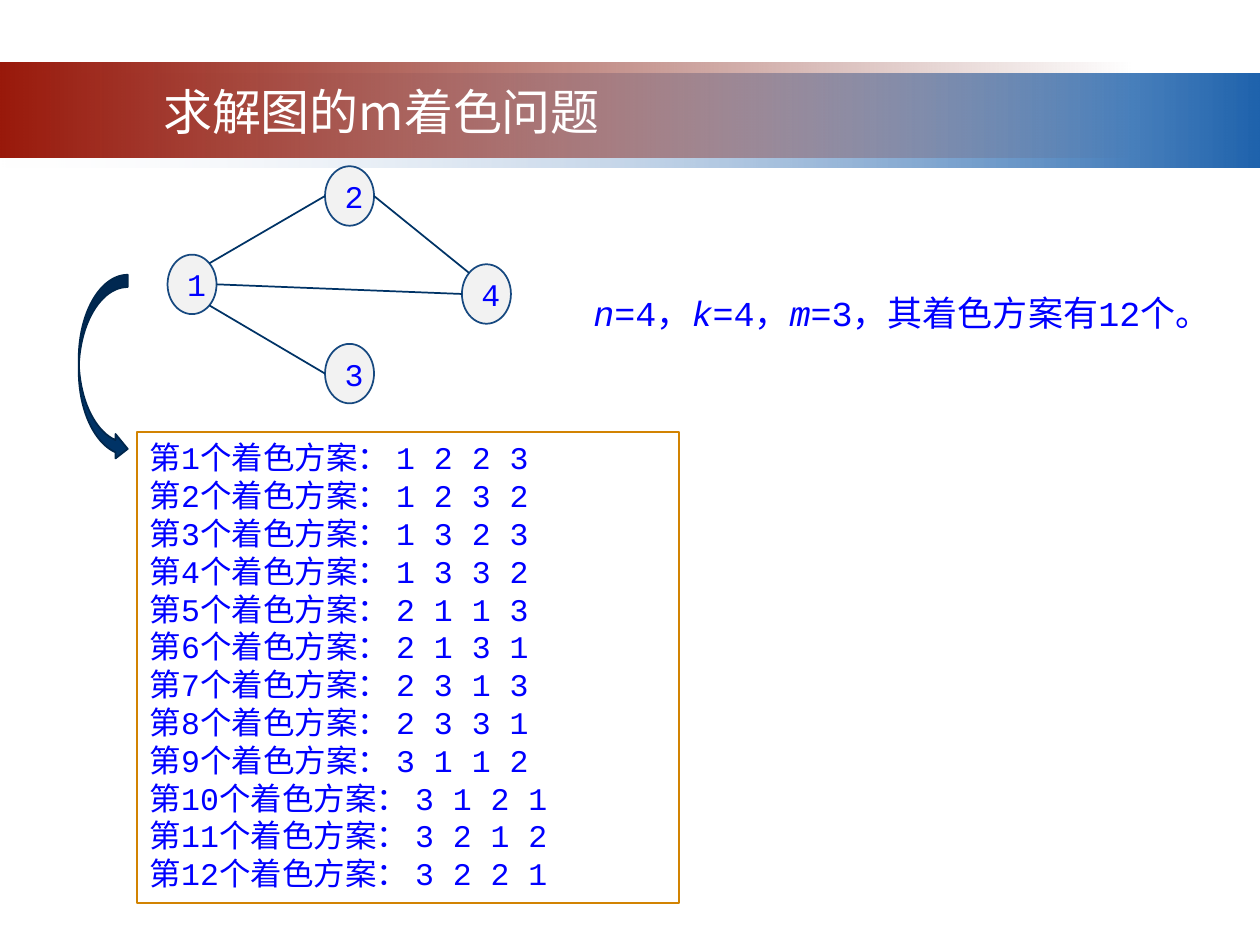
import math
import pptx
import pptx.util
import pptx.dml.color
import pptx.enum.shapes
import pptx.enum.text
import pptx.oxml.ns
import lxml.etree

Pt = pptx.util.Pt
Kind = pptx.enum.shapes.MSO_SHAPE
Align = pptx.enum.text.PP_ALIGN
Anchor = pptx.enum.text.MSO_ANCHOR
Fit = pptx.enum.text.MSO_AUTO_SIZE
qn = pptx.oxml.ns.qn

# Content
TITLE = "求解图的m着色问题"
NOTE = [("n", True), ("=4，", False), ("k", True), ("=4，", False),
        ("m", True), ("=3，其着色方案有12个。", False)]
PLANS = ["1 2 2 3", "1 2 3 2", "1 3 2 3", "1 3 3 2", "2 1 1 3", "2 1 3 1",
         "2 3 1 3", "2 3 3 1", "3 1 1 2", "3 1 2 1", "3 2 1 2", "3 2 2 1"]
NODES = {"1": (95.75, 145.5), "2": (185.75, 95), "3": (185.75, 196.5),
         "4": (264, 151)}
# Each edge: node and angle on its rim, clockwise from the right
EDGES = [("1", -45, "2", 180), ("1", 45, "3", 180),
         ("1", 0, "4", 180), ("2", 0, "4", 225)]
# Each band: box, then stops of colour and opacity in percent
BANDS = [((0, 42, 720, 54), ("F1F2F7", 0), ("1F63AD", 100)),
         ((0, 36, 648, 54), ("99190B", 100), ("6D1208", 0))]
WIDE, HIGH = 28, 34
MONO, SANS, BLUE = "Courier New", "Noto Sans CJK SC", "0000FF"

deck = pptx.Presentation()
deck.slide_width, deck.slide_height = Pt(720), Pt(540)
slide = deck.slides.add_slide(deck.slide_layouts[5])
shapes = slide.shapes


def paint(color, code):
    color.rgb = pptx.dml.color.RGBColor.from_string(code)


def add(kind, box, fill=None, line=None):
    shape = shapes.add_shape(kind, *map(Pt, box))
    shape.shadow.inherit = False
    if fill:
        shape.fill.solid()
        paint(shape.fill.fore_color, fill)
    if line:
        paint(shape.line.color, line)
        shape.line.width = Pt(1)
    else:
        shape.line.fill.background()
    return shape


def write(para, text, size, face=MONO, code=BLUE, slant=False):
    run = para.add_run()
    run.text = text
    run.font.size, run.font.name = Pt(size), face
    run.font.italic = slant
    paint(run.font.color, code)
    return run


def rim(name, turn):
    x, y = NODES[name]
    arc = math.radians(turn)
    return (x + WIDE / 2 * (1 + math.cos(arc)),
            y + HIGH / 2 * (1 + math.sin(arc)))


# Title bands
for box, *stops in BANDS:
    band = add(Kind.RECTANGLE, box)
    band.fill.gradient()
    band.fill.gradient_angle = 0
    for stop, place, (code, alpha) in zip(band.fill.gradient_stops, (0, 1), stops):
        stop.position = place
        paint(stop.color, code)
    tags = band._element.spPr.iter(qn("a:srgbClr"))
    for tag, (code, alpha) in zip(tags, stops):
        lxml.etree.SubElement(tag, qn("a:alpha")).set("val", str(alpha * 1000))

# Title, raised above the bands
title = shapes.title
title.left, title.top, title.width, title.height = map(Pt, (48, 43, 340, 41))
frame = title.text_frame
frame.auto_size, frame.vertical_anchor = Fit.NONE, Anchor.MIDDLE
frame.paragraphs[0].alignment = Align.CENTER
run = write(frame.paragraphs[0], TITLE, 28, SANS, "FFFFFF")
lxml.etree.SubElement(run.font._element, qn("a:ea")).set("typeface", SANS)
shapes._spTree.append(title._element)

# Graph nodes
for name, (x, y) in NODES.items():
    node = add(Kind.OVAL, (x, y, WIDE, HIGH), "F2F2F2", "174980")
    frame = node.text_frame
    frame.vertical_anchor = Anchor.MIDDLE
    frame.paragraphs[0].alignment = Align.CENTER
    write(frame.paragraphs[0], name, 18)

# Graph edges
for head, out, tail, into in EDGES:
    ends = rim(head, out) + rim(tail, into)
    edge = shapes.add_connector(pptx.enum.shapes.MSO_CONNECTOR.STRAIGHT,
                                *map(Pt, ends))
    paint(edge.line.color, "003366")
    edge.line.width = Pt(1)
    lxml.etree.SubElement(edge._element.spPr, qn("a:effectLst"))

# Note on the right
note = shapes.add_textbox(*map(Pt, (332, 163, 371.5, 31.5)))
frame = note.text_frame
frame.word_wrap, frame.auto_size = True, Fit.SHAPE_TO_FIT_TEXT
frame.paragraphs[0].line_spacing = Pt(24)
for text, slant in NOTE:
    write(frame.paragraphs[0], text, 20, slant=slant)

# List of colourings
panel = add(Kind.RECTANGLE, (78.5, 247, 309.5, 269), "FFFFFF", "D28302")
frame = panel.text_frame
frame.vertical_anchor, frame.auto_size = Anchor.TOP, Fit.SHAPE_TO_FIT_TEXT
for count, plan in enumerate(PLANS, 1):
    para = frame.paragraphs[0] if count == 1 else frame.add_paragraph()
    para.alignment, para.line_spacing = Align.LEFT, Pt(21.6)
    write(para, f"第{count}个着色方案： {plan}", 18)

# Arrow from graph to list
add(Kind.CURVED_RIGHT_ARROW, (45, 157, 28, 106.5), "003366", "00264B")

deck.save("out.pptx")
